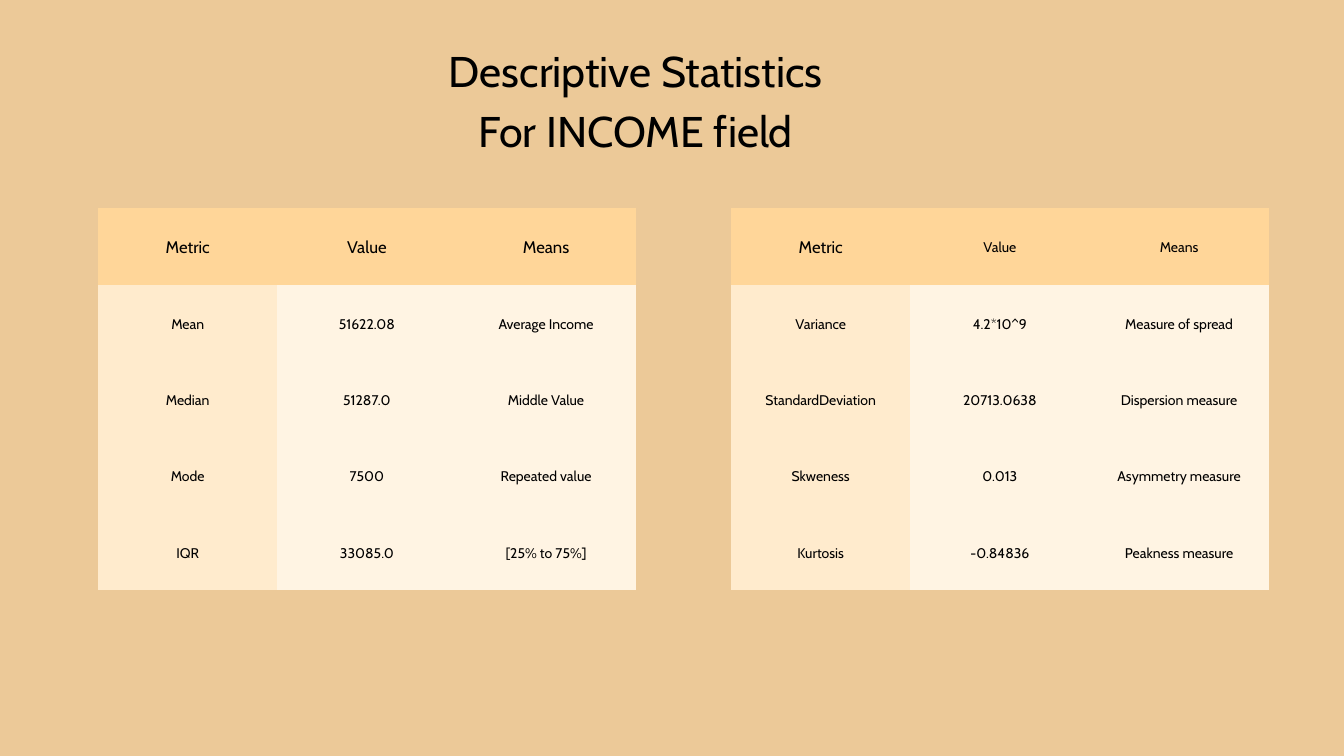
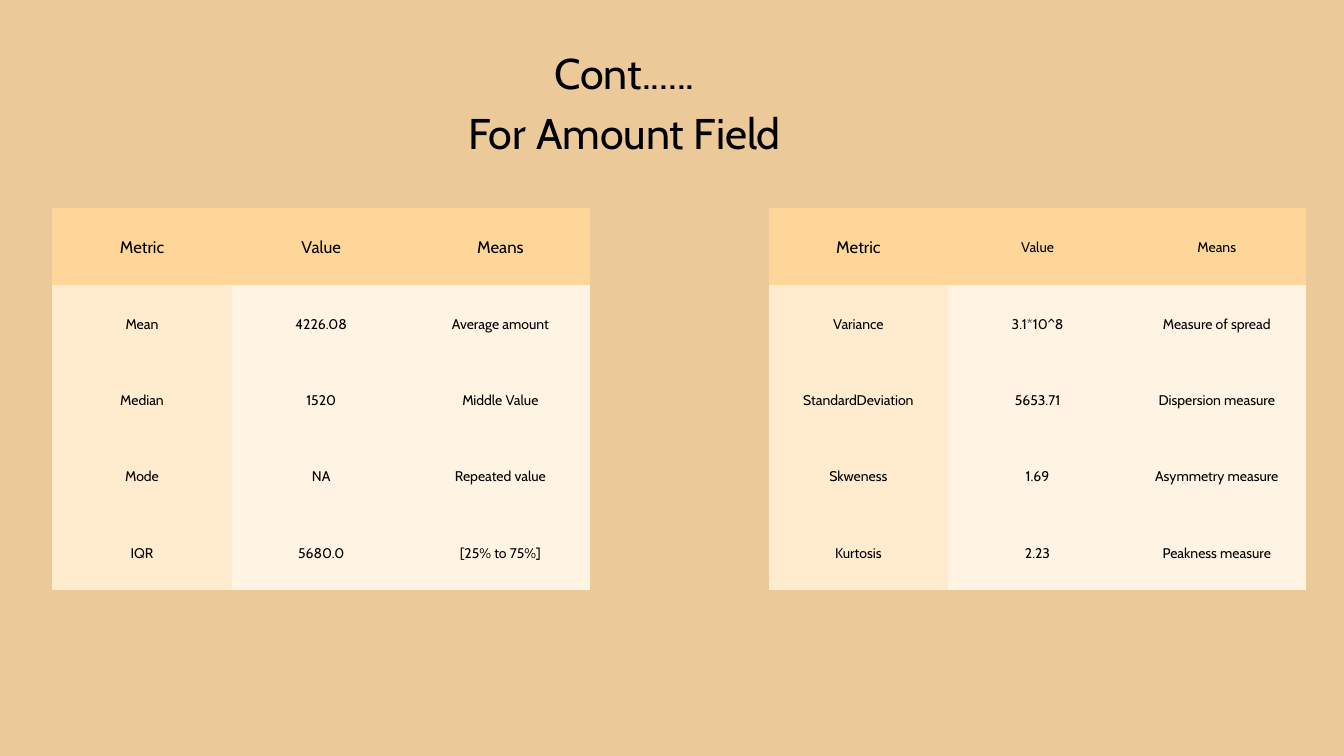
from lxml import etree
from pptx import Presentation
from pptx.dml.color import RGBColor
from pptx.enum.text import MSO_ANCHOR, MSO_AUTO_SIZE, PP_ALIGN
from pptx.oxml.ns import qn
from pptx.util import Inches, Pt

CENTER = PP_ALIGN.CENTER
MIDDLE, TOP = MSO_ANCHOR.MIDDLE, MSO_ANCHOR.TOP
GROW = MSO_AUTO_SIZE.SHAPE_TO_FIT_TEXT
TITLE_ONLY = 5

COLORS = {
    "background": "ECC998",
    "header": "FFD699",
    "metric": "FFEBCD",
    "value": "FFF4E3",
    "text": "000000",
}
FONT = "Cabin"
TITLE_SIZE, HEADER_SIZE, BODY_SIZE = 46, 18, 15
LEADING = 1.4

COLUMN = Inches(1)
SLIDE_COLUMNS, SLIDE_ROWS = 20, 11.25
TITLE_HEIGHT = 1.74
TABLE_TOP, TABLE_WIDTH, TABLE_HEIGHT = 3.1, 8, 5.68
CELL_INSET = 0.21

HEADINGS = ("Metric", "Value", "Means")
CENTER_METRICS = ("Mean", "Median", "Mode", "IQR")
SPREAD_METRICS = ("Variance", "StandardDeviation", "Skweness", "Kurtosis")
SPREAD_MEANINGS = ("Measure of spread", "Dispersion measure",
                   "Asymmetry measure", "Peakness measure")

FIELDS = (
    {
        "title": ("Descriptive Statistics", "For INCOME field"),
        "title_box": (6.13, 0.53, 6.66),
        "table_lefts": (1.46, 10.88),
        "average": "Average Income",
        "center_values": ("51622.08", "51287.0", "7500", "33085.0"),
        "spread_values": ("4.2*10^9", "20713.0638", "0.013", "-0.84836"),
    },
    {
        "title": ("Cont......", "For Amount Field"),
        "title_box": (6.6, 0.56, 5.39),
        "table_lefts": (0.78, 11.44),
        "average": "Average amount",
        "center_values": ("4226.08", "1520", "NA", "5680.0"),
        "spread_values": ("3.1*10^8", "5653.71", "1.69", "2.23"),
    },
)


def grid(columns):
    """Turn a number of grid columns into a length."""
    return round(columns * COLUMN)


def apply(target, values):
    """Set each named attribute on the target."""
    for name, value in values.items():
        setattr(target, name, value)


def margins(inset):
    """Return equal inner margins for a cell or text frame."""
    return {f"margin_{side}": inset for side in ("left", "top", "right", "bottom")}


def style_paragraph(paragraph, size):
    """Give a paragraph the shared font, alignment and leading."""
    apply(paragraph, {"alignment": CENTER, "line_spacing": Pt(round(size * LEADING, 1)),
                      "space_before": Pt(0)})
    for run in paragraph.runs:
        apply(run.font, {"name": FONT, "size": Pt(size), "bold": False})
        run.font.color.rgb = RGBColor.from_string(COLORS["text"])


def add_title(slide, lines, box):
    """Place and format the two-line slide title."""
    left, top, width = box
    title = slide.shapes.title
    apply(title, {"left": grid(left), "top": grid(top),
                  "width": grid(width), "height": grid(TITLE_HEIGHT)})
    frame = title.text_frame
    frame.text = "\n".join(lines)
    apply(frame, {"word_wrap": True, "auto_size": GROW,
                  "vertical_anchor": TOP, **margins(0)})
    for paragraph in frame.paragraphs:
        style_paragraph(paragraph, TITLE_SIZE)


def add_borders(cell):
    """Give a cell hairline borders in the header colour."""
    properties = cell._tc.get_or_add_tcPr()
    for position, side in enumerate(("lnL", "lnR", "lnT", "lnB")):
        border = etree.Element(qn(f"a:{side}"), w="0")
        fill = etree.SubElement(border, qn("a:solidFill"))
        etree.SubElement(fill, qn("a:srgbClr"), val=COLORS["header"])
        properties.insert(position, border)


def fill_cell(cell, text, color, size):
    """Write and format one table cell."""
    cell.text = text
    apply(cell, {"vertical_anchor": MIDDLE, **margins(grid(CELL_INSET))})
    cell.fill.solid()
    cell.fill.fore_color.rgb = RGBColor.from_string(COLORS[color])
    add_borders(cell)
    style_paragraph(cell.text_frame.paragraphs[0], size)


def add_metric_table(slide, left, records, heading_sizes):
    """Add a table of metrics with their values and meanings."""
    rows = [HEADINGS, *records]
    table = slide.shapes.add_table(
        len(rows), len(HEADINGS), grid(left), grid(TABLE_TOP),
        grid(TABLE_WIDTH), grid(TABLE_HEIGHT)).table
    table.horz_banding = False
    for r, row in enumerate(rows):
        for c, text in enumerate(row):
            color = "header" if r == 0 else "metric" if c == 0 else "value"
            size = heading_sizes[c] if r == 0 else BODY_SIZE
            fill_cell(table.cell(r, c), text, color, size)


def add_field_slide(deck, field):
    """Add the statistics slide of one data field."""
    slide = deck.slides.add_slide(deck.slide_layouts[TITLE_ONLY])
    center_left, spread_left = field["table_lefts"]
    center_meanings = (field["average"], "Middle Value", "Repeated value", "[25% to 75%]")
    add_metric_table(slide, center_left,
                     zip(CENTER_METRICS, field["center_values"], center_meanings),
                     (HEADER_SIZE, HEADER_SIZE, HEADER_SIZE))
    add_metric_table(slide, spread_left,
                     zip(SPREAD_METRICS, field["spread_values"], SPREAD_MEANINGS),
                     (HEADER_SIZE, BODY_SIZE, BODY_SIZE))
    add_title(slide, field["title"], field["title_box"])


def main():
    """Build and save the deck."""
    deck = Presentation()
    apply(deck, {"slide_width": grid(SLIDE_COLUMNS), "slide_height": grid(SLIDE_ROWS)})
    background = deck.slide_master.background.fill
    background.solid()
    background.fore_color.rgb = RGBColor.from_string(COLORS["background"])
    for field in FIELDS:
        add_field_slide(deck, field)
    deck.save("out.pptx")


if __name__ == "__main__":
    main()
